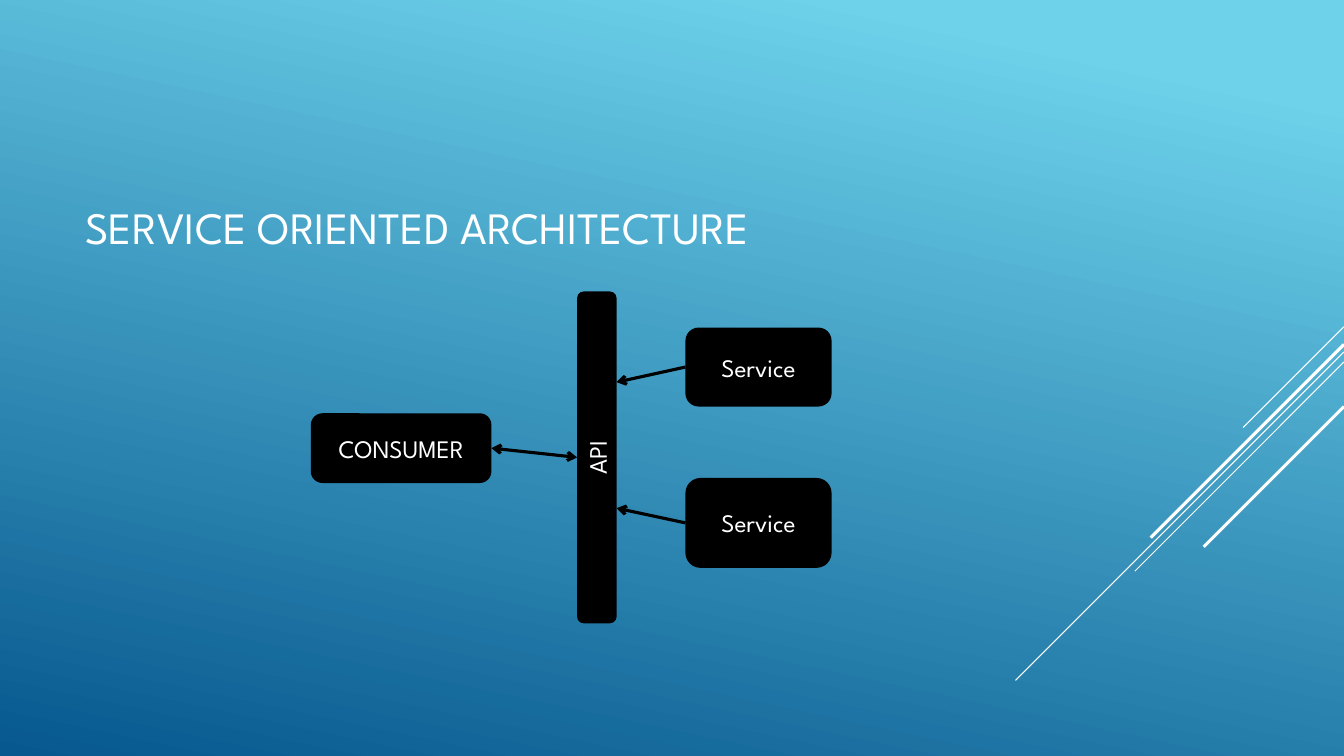
from lxml import etree
from pptx import Presentation
from pptx.dml.color import RGBColor
from pptx.enum.shapes import MSO_CONNECTOR, MSO_SHAPE
from pptx.enum.text import MSO_ANCHOR, PP_ALIGN
from pptx.oxml.ns import qn
from pptx.util import Inches, Pt

ROUNDED = MSO_SHAPE.ROUNDED_RECTANGLE
STRAIGHT = MSO_CONNECTOR.STRAIGHT
MIDDLE = MSO_ANCHOR.MIDDLE
CENTER, LEFT = PP_ALIGN.CENTER, PP_ALIGN.LEFT
WHITE = RGBColor(0xFF, 0xFF, 0xFF)
BLACK = RGBColor(0x00, 0x00, 0x00)
SKY = RGBColor(0x6E, 0xD2, 0xEB)
OCEAN = RGBColor(0x06, 0x58, 0x8E)
FONT = "League Spartan"
COLUMNS, ROWS = 160, 90
LEFT_SIDE, RIGHT_SIDE = 1, 3


def cells(*counts):
    """Turn grid cells, twelve to the inch, into lengths."""
    return [Inches(count / 12) for count in counts]


def write(frame, text, size, align):
    """Write one white line of text, centred vertically."""
    frame.word_wrap = True
    frame.vertical_anchor = MIDDLE
    paragraph = frame.paragraphs[0]
    paragraph.text = text
    paragraph.alignment = align
    paragraph.font.name = FONT
    paragraph.font.size = Pt(size)
    paragraph.font.color.rgb = WHITE


def add_line(slide, start, end, color, width, arrows=()):
    """Draw a straight line with arrowheads at the named ends."""
    line = slide.shapes.add_connector(STRAIGHT, *cells(*start, *end))
    line.line.color.rgb = color
    line.line.width = Pt(width)
    properties = line._element.spPr
    etree.SubElement(properties, qn("a:effectLst"))
    for arrow in arrows:
        etree.SubElement(line.line._get_or_add_ln(), qn(f"a:{arrow}"), type="arrow")
    return line


def paint_background(slide):
    """Fill the slide with the blue gradient."""
    fill = slide.background.fill
    fill.gradient()
    fill.gradient_angle = 258
    for stop, color, position in zip(fill.gradient_stops, (SKY, OCEAN), (0.1, 1)):
        stop.color.rgb = color
        stop.position = position


def draw_streaks(slide, right):
    """Draw the diagonal streaks that run down from the right edge."""
    streaks = [(38.9, 12, 0.75), (41.9, 39.1, 0.75), (43.1, 24.9, 0.75),
               (41, 23, 2.25), (48.4, 16.7, 2.25)]
    for top, run, width in streaks:
        add_line(slide, (right, top), (right - run, top + run), WHITE, width)


def draw_title(slide, box, text):
    """Place the title in its box."""
    title = slide.shapes.add_textbox(*cells(*box))
    write(title.text_frame, text, 32, LEFT)


def draw_block(slide, box, text):
    """Draw a black rounded block with a centred label."""
    block = slide.shapes.add_shape(ROUNDED, *cells(*box))
    block.shadow.inherit = False
    block.fill.solid()
    block.fill.fore_color.rgb = BLACK
    block.line.fill.background()
    write(block.text_frame, text, 18, CENTER)
    return block


def draw_architecture(slide, box):
    """Draw the consumer, the API bar and the services behind it."""
    left, top, width, height = box
    api_left, api_width, service_width = left + 31.7, 4.7, 17.4
    api_right, service_left = api_left + api_width, left + width - service_width

    api = draw_block(slide, (api_left, top, api_width, height), "API")
    api.text_frame._txBody.bodyPr.set("vert", "vert270")
    api.text_frame.margin_left = api.text_frame.margin_right = 0

    for offset, service_height, entry in [(4.3, 9.4, 10.8), (22.2, 10.7, 25.8)]:
        service_box = (service_left, top + offset, service_width, service_height)
        service = draw_block(slide, service_box, "Service")
        call = add_line(slide, (service_left, top + offset + service_height / 2),
                        (api_right, top + entry), BLACK, 2.25, ["tailEnd"])
        call.begin_connect(service, LEFT_SIDE)

    consumer = draw_block(slide, (left, top + 14.5, 21.5, 8.3), "CONSUMER")
    request = add_line(slide, (api_left, top + height / 2), (left + 21.5, top + 18.65),
                       BLACK, 2.25, ["headEnd", "tailEnd"])
    request.begin_connect(api, LEFT_SIDE)
    request.end_connect(consumer, RIGHT_SIDE)


def main():
    """Build the slide and save it."""
    deck = Presentation()
    deck.slide_width, deck.slide_height = cells(COLUMNS, ROWS)
    slide = deck.slides.add_slide(deck.slide_layouts[6])
    paint_background(slide)
    draw_streaks(slide, COLUMNS)
    draw_title(slide, (9, 9, 132, 36), "SERVICE ORIENTED ARCHITECTURE")
    draw_architecture(slide, (37, 34.7, 62, 39.5))
    deck.save("out.pptx")


if __name__ == "__main__":
    main()
